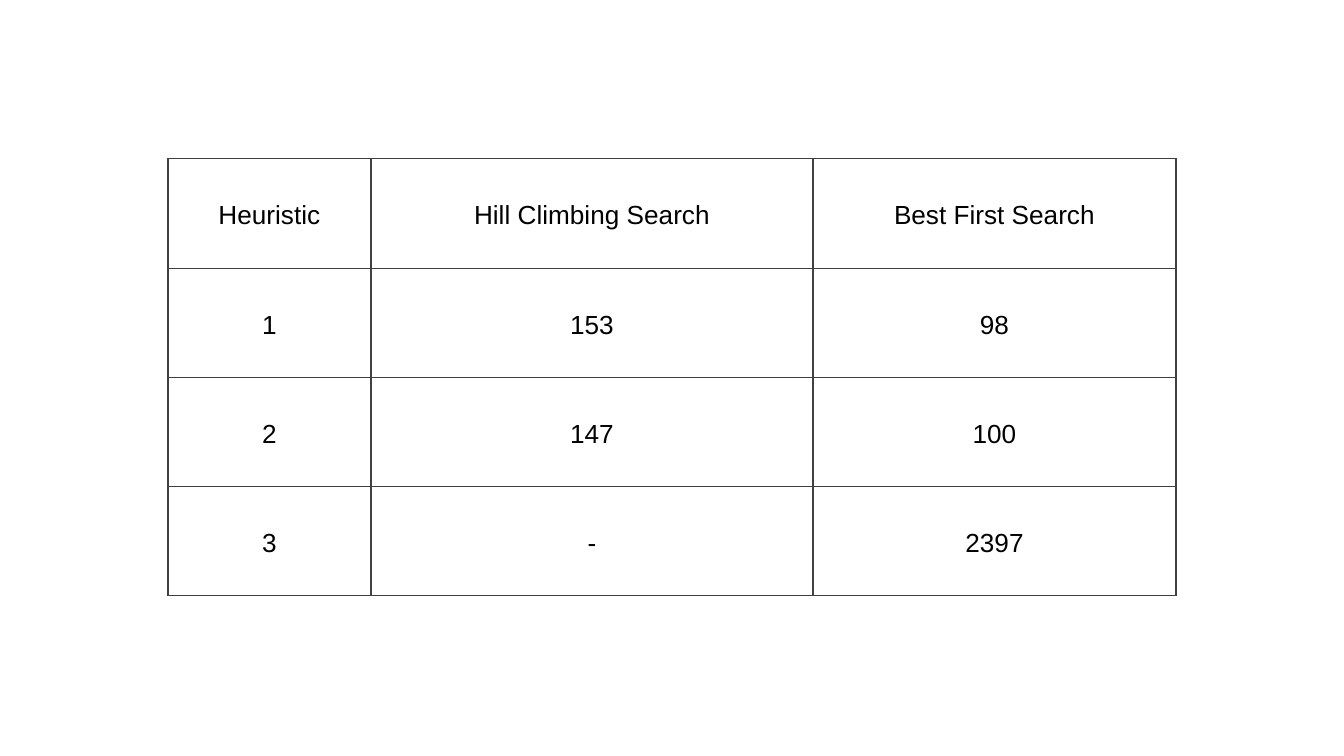
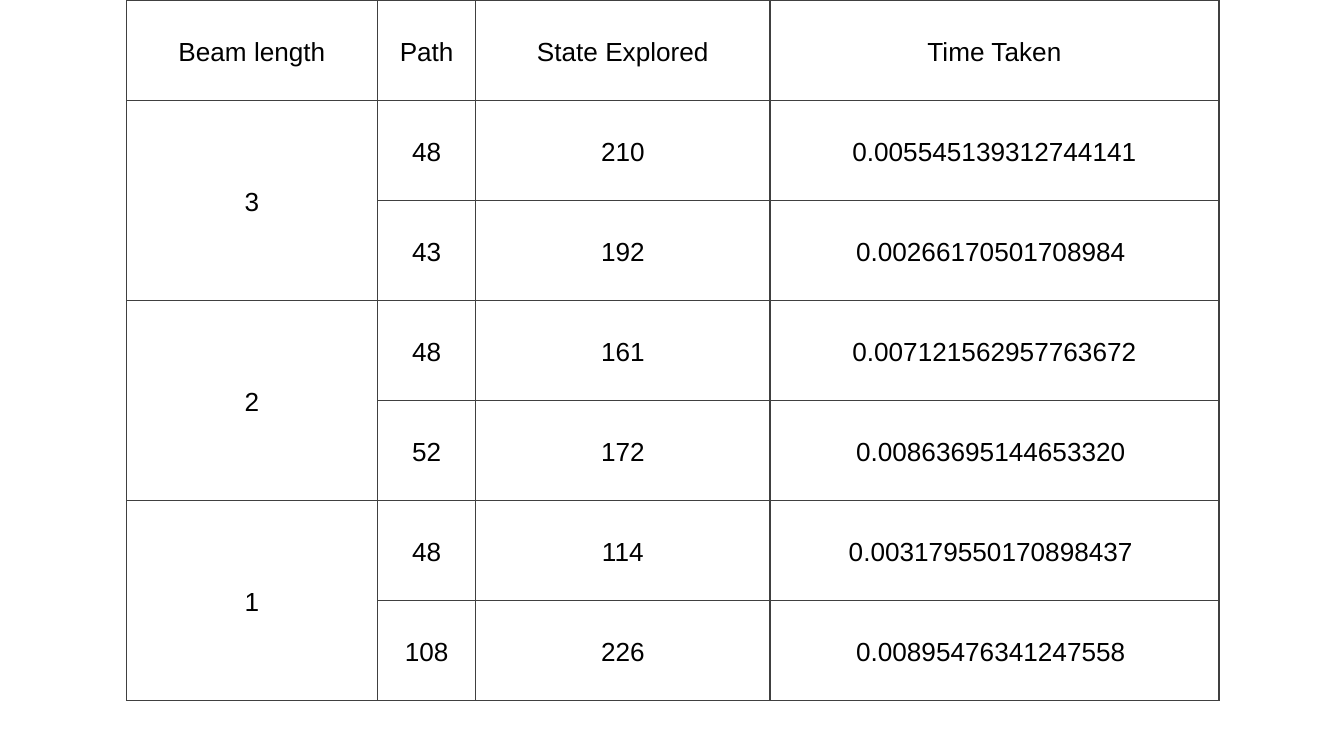
from lxml import etree
from pptx import Presentation
from pptx import util as u
from pptx.dml.color import RGBColor
from pptx.enum import text
from pptx.oxml.ns import qn

PX = 4572  # EMU in one px, 200 px to the inch
BLACK = RGBColor(0x00, 0x00, 0x00)
GRID = RGBColor(0x40, 0x40, 0x40)
FONT = "Arial"


def add_borders(cell):
    properties = cell._tc.get_or_add_tcPr()
    for side in ("lnL", "lnR", "lnT", "lnB"):
        line = etree.SubElement(properties, qn(f"a:{side}"), w=str(u.Pt(0.75)))
        fill = etree.SubElement(line, qn("a:solidFill"))
        etree.SubElement(fill, qn("a:srgbClr"), val=str(GRID))


def add_grid(slide, left, top, widths, heights, rows):
    """Add a bordered table; None marks a cell joined to the one above it."""
    frame = slide.shapes.add_table(len(rows), len(widths), left * PX, top * PX,
                                   sum(widths) * PX, sum(heights) * PX)
    table = frame.table
    table.first_row = table.horz_banding = False
    for column, width in zip(table.columns, widths):
        column.width = width * PX
    for row, height in zip(table.rows, heights):
        row.height = height * PX
    for r, values in enumerate(rows):
        for c, value in enumerate(values):
            cell = table.cell(r, c)
            add_borders(cell)
            cell.fill.background()
            if value is None:
                table.cell(r - 1, c).merge(cell)
                continue
            cell.margin_left = cell.margin_right = 20 * PX
            cell.margin_top = cell.margin_bottom = 20 * PX
            cell.vertical_anchor = text.MSO_ANCHOR.MIDDLE
            cell.text = value
            paragraph = cell.text_frame.paragraphs[0]
            paragraph.alignment = text.PP_ALIGN.CENTER
            paragraph.line_spacing = 1.15
            paragraph.space_before = paragraph.space_after = u.Pt(12)
            paragraph.font.name = FONT
            paragraph.font.size = u.Pt(14)
            paragraph.font.color.rgb = BLACK


presentation = Presentation()
presentation.slide_width = 2000 * PX
presentation.slide_height = 1125 * PX
blank = presentation.slide_layouts[6]

# Slide 1: heuristics compared across two searches
slide = presentation.slides.add_slide(blank)
add_grid(slide, 250, 236, [302, 658, 540], [164] + [162] * 3, [
    ["Heuristic", "Hill Climbing Search", "Best First Search"],
    ["1", "153", "98"],
    ["2", "147", "100"],
    ["3", "-", "2397"],
])

# Slide 2: results by beam length
slide = presentation.slides.add_slide(blank)
add_grid(slide, 188, 0, [374, 146, 438, 668], [149] * 7, [
    ["Beam length", "Path", "State Explored", "Time Taken"],
    ["3", "48", "210", "0.005545139312744141"],
    [None, "43", "192", "0.00266170501708984 "],
    ["2", "48", "161", "0.007121562957763672"],
    [None, "52", "172", "0.00863695144653320 "],
    ["1", "48", "114", "0.003179550170898437 "],
    [None, "108", "226", "0.00895476341247558 "],
])

presentation.save("out.pptx")
